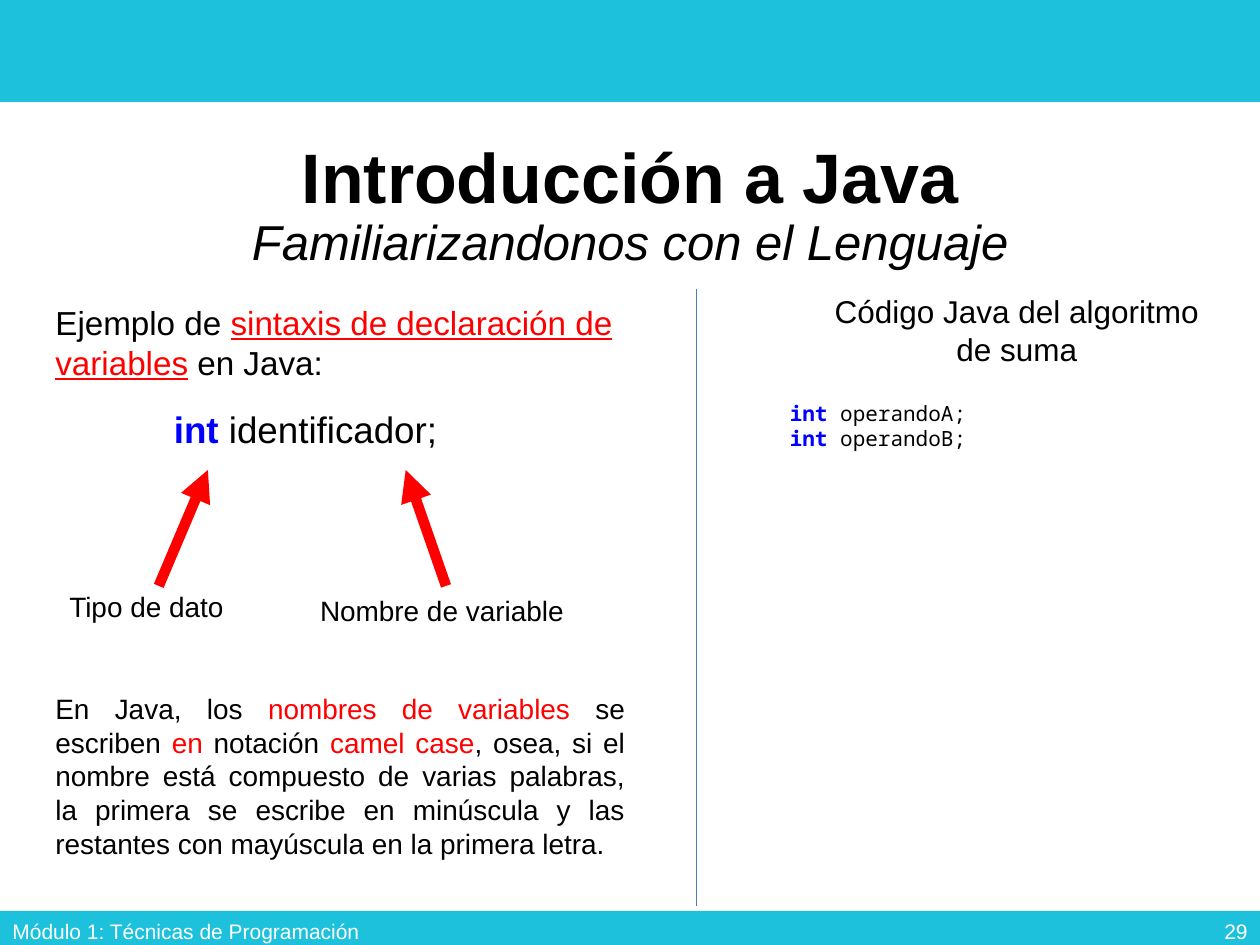
from lxml.etree import SubElement
from pptx import Presentation
from pptx.dml.color import RGBColor
from pptx.enum.shapes import MSO_CONNECTOR, MSO_SHAPE
from pptx.enum.text import MSO_ANCHOR, MSO_AUTO_SIZE, PP_ALIGN
from pptx.oxml.ns import qn
from pptx.util import Inches, Pt

SLIDE_WIDTH, SLIDE_HEIGHT = Inches(10), Inches(7.5)
COLUMNS, ROWS = 100, 75
COLORS = {
    "band": "1DC1DC",
    "text": "000000",
    "footer": "FFFFFF",
    "accent": "FF0000",
    "keyword": "0000FF",
    "divider": "4A7DBA",
}
NARROW_MARGINS = (0.06, 0.03)
WIDE_MARGINS = (0.1, 0.05)


def color(name):
    return RGBColor.from_string(COLORS[name])


def grid_x(columns):
    return round(SLIDE_WIDTH * columns / COLUMNS)


def grid_y(rows):
    return round(SLIDE_HEIGHT * rows / ROWS)


def grid_box(left, top, width, height):
    return grid_x(left), grid_y(top), grid_x(width), grid_y(height)


def add_run(paragraph, text, size, ink="text", font="Arial",
            bold=False, italic=False, underline=False):
    run = paragraph.add_run()
    run.text = text
    run.font.name, run.font.size = font, Pt(size)
    run.font.bold, run.font.italic, run.font.underline = bold, italic, underline
    run.font.color.rgb = color(ink)


def add_band(slide, top, height):
    band = slide.shapes.add_shape(MSO_SHAPE.RECTANGLE, *grid_box(0, top, COLUMNS, height))
    band.shadow.inherit = False
    band.fill.solid()
    band.fill.fore_color.rgb = color("band")
    band.line.fill.background()


def add_text(slide, box, lines, size, font="Arial", align=PP_ALIGN.LEFT,
             anchor=MSO_ANCHOR.TOP, margins=NARROW_MARGINS):
    """Add a text box; each line is a list of (text, run style) pairs."""
    frame = slide.shapes.add_textbox(*grid_box(*box)).text_frame
    frame.word_wrap = True
    frame.vertical_anchor = anchor
    frame.margin_left = frame.margin_right = Inches(margins[0])
    frame.margin_top = frame.margin_bottom = Inches(margins[1])
    for index, line in enumerate(lines):
        paragraph = frame.add_paragraph() if index else frame.paragraphs[0]
        paragraph.alignment = align
        for text, style in line:
            add_run(paragraph, text, size, font=font, **style)
    return frame


def add_line(slide, start, end, ink, width, arrow=False):
    line = slide.shapes.add_connector(
        MSO_CONNECTOR.STRAIGHT,
        grid_x(start[0]), grid_y(start[1]), grid_x(end[0]), grid_y(end[1]))
    line.line.color.rgb = color(ink)
    line.line.width = Pt(width)
    if arrow:
        SubElement(line.line._get_or_add_ln(), qn("a:tailEnd"), type="triangle")
    SubElement(line._element.spPr, qn("a:effectLst"))


def set_title(slide, heading, subheading):
    title = slide.shapes.title
    title.left, title.top, title.width, title.height = grid_box(6.9, 9.8, 86.2, 13.3)
    frame = title.text_frame
    frame.auto_size = MSO_AUTO_SIZE.NONE
    frame.vertical_anchor = MSO_ANCHOR.MIDDLE
    paragraph = frame.paragraphs[0]
    paragraph.alignment = PP_ALIGN.CENTER
    paragraph.line_spacing = 0.9
    add_run(paragraph, heading, 40, bold=True)
    paragraph.add_line_break()
    add_run(paragraph, subheading, 28, italic=True)


def add_footer(slide, left, width, text, align):
    add_text(slide, (left, 71.9, width, 4), [[(text, {"ink": "footer"})]], 12,
             align=align, anchor=MSO_ANCHOR.MIDDLE, margins=WIDE_MARGINS)


def add_callout(slide, label, label_box, start, end):
    """Add a label with an arrow to the part of the declaration it names."""
    add_line(slide, start, end, "accent", 6, arrow=True)
    add_text(slide, label_box, [[(label, {})]], 16)


def main():
    presentation = Presentation()
    presentation.slide_width, presentation.slide_height = SLIDE_WIDTH, SLIDE_HEIGHT
    slide = presentation.slides.add_slide(presentation.slide_layouts[5])
    plain, accent = {}, {"ink": "accent"}
    keyword = {"ink": "keyword", "bold": True}

    add_band(slide, 0, 8.1)
    add_band(slide, 72.3, ROWS - 72.3)
    set_title(slide, "Introducción a Java", "Familiarizandonos con el Lenguaje")
    add_footer(slide, 0, 33.8, "Módulo 1: Técnicas de Programación", PP_ALIGN.LEFT)
    add_footer(slide, 77.5, 22.5, "29", PP_ALIGN.RIGHT)

    add_text(slide, (3.8, 23.7, 49.2, 7.5), [[
        ("Ejemplo de ", plain),
        ("sintaxis de declaración de variables", {"ink": "accent", "underline": True}),
        (" en Java:", plain),
    ]], 19)
    add_text(slide, (13.2, 32, 36.3, 5),
             [[("int", keyword), (" identificador;", plain)]], 21)
    add_callout(slide, "Tipo de dato", (4.9, 46.5, 18.1, 5), (12.6, 46.5), (16.5, 37.3))
    add_callout(slide, "Nombre de variable", (24.8, 46.8, 22.1, 5),
                (35.4, 46.5), (32.2, 37.3))
    add_text(slide, (3.8, 54.6, 46.4, 16.9), [[
        ("En Java, los ", plain),
        ("nombres de variables", accent),
        (" se escriben ", plain),
        ("en", accent),
        (" notación ", plain),
        ("camel case", accent),
        (", osea, si el nombre está compuesto de varias palabras, la primera se "
         "escribe en minúscula y las restantes con mayúscula en la primera letra.", plain),
    ]], 16, align=PP_ALIGN.JUSTIFY)

    add_line(slide, (55.3, 22.9), (55.3, 71.9), "divider", 0.75)
    add_text(slide, (64.7, 22.9, 32, 8.1),
             [[("Código Java del algoritmo", plain)], [("de suma", plain)]],
             18, align=PP_ALIGN.CENTER)
    code = add_text(slide, (61.7, 31.3, 38, 5),
                    [[("int", keyword), (f" {operand};", plain)]
                     for operand in ("operandoA", "operandoB")],
                    12, font="Noto Sans Mono", margins=WIDE_MARGINS)
    code.auto_size = MSO_AUTO_SIZE.SHAPE_TO_FIT_TEXT

    presentation.save("out.pptx")


if __name__ == "__main__":
    main()
